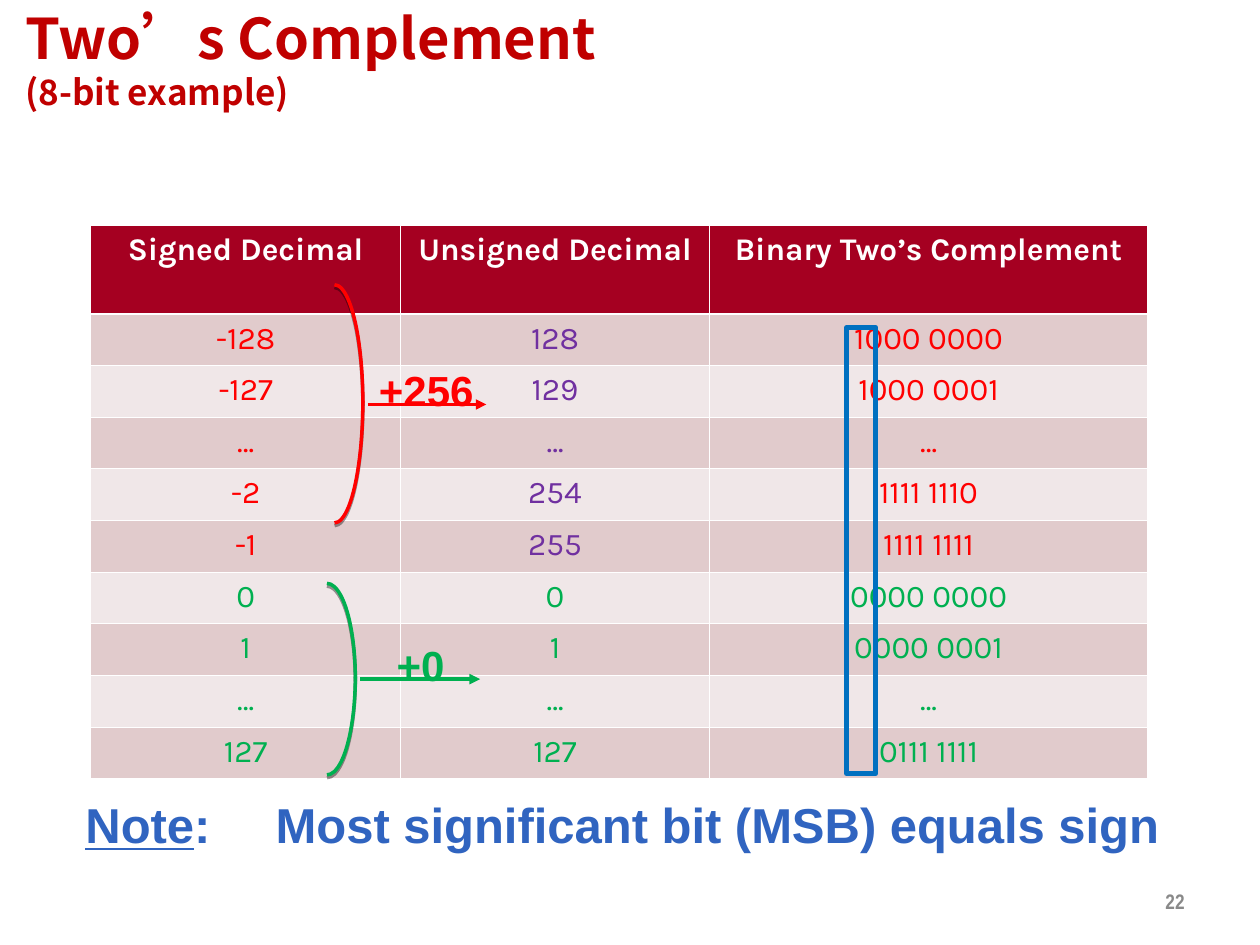
from lxml.etree import SubElement
from pptx import Presentation
from pptx.dml.color import RGBColor
from pptx.enum.shapes import MSO_CONNECTOR, MSO_SHAPE
from pptx.enum.text import MSO_ANCHOR, PP_ALIGN
from pptx.oxml.ns import qn
from pptx.util import Inches, Pt

COLORS = {
    "title": "C00000", "header": "A50021", "band_dark": "E1CBCC",
    "band_light": "F0E7E8", "white": "FFFFFF", "negative": "FF0000",
    "unsigned": "7030A0", "positive": "00B050", "note": "3064C0",
    "sign_bit": "0070C0", "page": "898989", "shadow": "000000",
}
HEADERS = ["Signed Decimal", "Unsigned Decimal", "Binary Two’s Complement"]
NEGATIVE_ROWS = [
    ("-128", "128", "1000 0000"), ("-127", "129", "1000 0001"),
    ("…", "…", "…"), ("-2", "254", "1111 1110"), ("-1", "255", "1111 1111"),
]
POSITIVE_ROWS = [
    ("0", "0", "0000 0000"), ("1", "1", "0000 0001"),
    ("…", "…", "..."), ("127", "127", "0111 1111"),
]
NEGATIVE_COLORS = ["negative", "unsigned", "negative"]
POSITIVE_COLORS = ["positive"] * 3


def color(name):
    return RGBColor.from_string(COLORS[name])


def style_font(font, name, size, color_name, bold=True):
    font.name = name
    font.size = Pt(size)
    font.bold = bold
    font.color.rgb = color(color_name)


def add_text_box(shapes, box, wrap=True):
    shape = shapes.add_textbox(*map(Inches, box))
    shape.text_frame.word_wrap = wrap
    return shape


def add_title(slide):
    shape = add_text_box(slide.shapes, (0, -0.02, 10, 1.06))
    shape.fill.solid()
    shape.fill.fore_color.rgb = color("white")
    frame = shape.text_frame
    frame.margin_left = frame.margin_right = Inches(0.2)
    paragraph = frame.paragraphs[0]
    style_font(paragraph.font, "Noto Sans CJK SC", 32, "title")
    title = paragraph.add_run()
    title.text = "Two’s Complement"
    style_font(title.font, "Noto Sans CJK SC", 32, "title")
    paragraph.add_line_break()
    subtitle = paragraph.add_run()
    subtitle.text = "(8-bit example)"
    style_font(subtitle.font, "Noto Sans CJK SC", 20, "title")


def set_borders(cell, **widths):
    properties = cell._tc.get_or_add_tcPr()
    for side in "LRTB":
        width = Pt(widths.get(side, 0.45))
        line = SubElement(properties, qn(f"a:ln{side}"), w=str(width))
        fill = SubElement(line, qn("a:solidFill"))
        SubElement(fill, qn("a:srgbClr"), val=COLORS["white"])


def fill_row(table, index, texts, text_colors, fill_name, bold, **borders):
    for column, (text, color_name) in enumerate(zip(texts, text_colors)):
        cell = table.cell(index, column)
        set_borders(cell, **borders)
        cell.fill.solid()
        cell.fill.fore_color.rgb = color(fill_name)
        cell.text = text
        paragraph = cell.text_frame.paragraphs[0]
        paragraph.alignment = PP_ALIGN.CENTER
        style_font(paragraph.font, "Karla", 18, color_name, bold)


def add_number_table(slide):
    rows = [(row, NEGATIVE_COLORS) for row in NEGATIVE_ROWS]
    rows += [(row, POSITIVE_COLORS) for row in POSITIVE_ROWS]
    table = slide.shapes.add_table(
        len(rows) + 1, 3, Inches(0.72), Inches(1.79), Inches(8.39), Inches(4.36)).table
    for column, width in zip(table.columns, (2.46, 2.45, 3.48)):
        column.width = Inches(width)
    for index, row in enumerate(table.rows):
        row.height = Inches(0.41 if index else 0.7)
    fill_row(table, 0, HEADERS, ["white"] * 3, "header", True, B=1.47)
    for index, (texts, text_colors) in enumerate(rows, 1):
        band = "band_dark" if index % 2 else "band_light"
        top = 1.47 if index == 1 else 0.45
        fill_row(table, index, texts, text_colors, band, False, T=top)


def add_note(slide):
    shape = add_text_box(slide.shapes, (0.58, 6.26, 9.02, 0.57))
    paragraph = shape.text_frame.paragraphs[0]
    tabs = SubElement(paragraph._p.get_or_add_pPr(), qn("a:tabLst"))
    SubElement(tabs, qn("a:tab"), pos=str(Inches(1.51)), algn="l")
    style_font(paragraph.font, "Arial", 28, "note")
    for text, underline in (("Note", True), (":\tMost significant bit (MSB) equals sign", False)):
        run = paragraph.add_run()
        run.text = text
        run.font.underline = underline


def add_sign_bit_frame(slide):
    shape = slide.shapes.add_shape(
        MSO_SHAPE.RECTANGLE, Inches(6.72), Inches(2.6), Inches(0.23), Inches(3.54))
    shape.shadow.inherit = False
    shape.fill.background()
    shape.line.color.rgb = color("sign_bit")
    shape.line.width = Pt(3)


def add_arc(shapes, box, start, end, color_name):
    arc = shapes.add_shape(MSO_SHAPE.ARC, *map(Inches, box))
    arc.adjustments[0] = start * 0.6
    arc.adjustments[1] = end * 0.6
    arc.fill.background()
    arc.line.color.rgb = color(color_name)
    arc.line.width = Pt(2)
    arc.shadow.inherit = False
    effects = arc._element.spPr.find(qn("a:effectLst"))
    shadow = SubElement(effects, qn("a:outerShdw"), dist=str(Pt(1.6)),
                        dir="5400000", rotWithShape="0")
    shade = SubElement(shadow, qn("a:srgbClr"), val=COLORS["shadow"])
    SubElement(shade, qn("a:alpha"), val="38000")


def add_arrow(shapes, left, right, y, color_name):
    arrow = shapes.add_connector(
        MSO_CONNECTOR.STRAIGHT, Inches(left), Inches(y), Inches(right), Inches(y))
    arrow.line.color.rgb = color(color_name)
    arrow.line.width = Pt(2)
    SubElement(arrow.line._get_or_add_ln(), qn("a:tailEnd"), type="triangle")
    SubElement(arrow._element.spPr, qn("a:effectLst"))


def add_offset_group(slide, upper, lower, arrow, label, label_box, color_name):
    shapes = slide.shapes.add_group_shape().shapes
    add_arc(shapes, upper, 270, 0, color_name)
    add_arc(shapes, lower, 0, 90, color_name)
    add_arrow(shapes, *arrow, color_name)
    paragraph = add_text_box(shapes, label_box, wrap=False).text_frame.paragraphs[0]
    paragraph.text = label
    style_font(paragraph.font, "Arial", 24, color_name)


def add_page_number(slide):
    frame = add_text_box(slide.shapes, (7.17, 6.95, 2.33, 0.4)).text_frame
    frame.vertical_anchor = MSO_ANCHOR.MIDDLE
    paragraph = frame.paragraphs[0]
    paragraph.text = "22"
    paragraph.alignment = PP_ALIGN.RIGHT
    style_font(paragraph.font, "Arial Narrow", 12, "page")


def main():
    presentation = Presentation()
    presentation.slide_width = Inches(10)
    presentation.slide_height = Inches(7.5)
    slide = presentation.slides.add_slide(presentation.slide_layouts[6])
    add_page_number(slide)
    add_title(slide)
    add_number_table(slide)
    add_note(slide)
    add_sign_bit_frame(slide)
    add_offset_group(slide, (2.43, 2.26, 0.45, 1.88), (2.43, 2.21, 0.45, 1.94),
                     (2.92, 3.86, 3.21), "+256", (2.91, 2.84, 0.96, 0.5), "negative")
    add_offset_group(slide, (2.37, 4.63, 0.45, 1.51), (2.37, 4.59, 0.45, 1.56),
                     (2.86, 3.81, 5.39), "+0", (3.05, 5.03, 0.58, 0.5), "positive")
    presentation.save("out.pptx")


if __name__ == "__main__":
    main()
